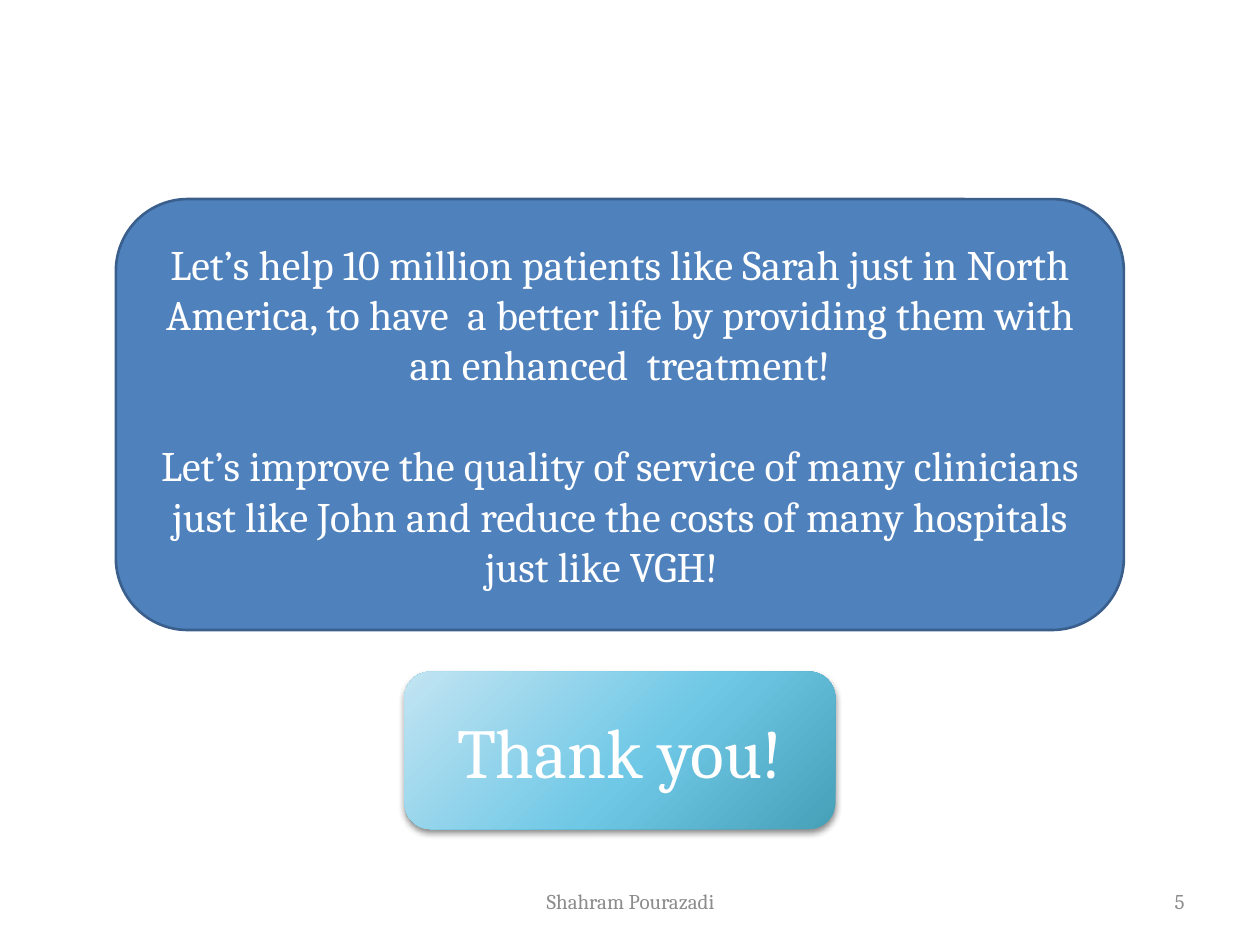
from lxml.etree import SubElement
from pptx import Presentation
from pptx.dml.color import RGBColor
from pptx.enum.shapes import MSO_SHAPE
from pptx.enum.text import MSO_ANCHOR, PP_ALIGN
from pptx.oxml.ns import qn
from pptx.util import Inches, Pt

WHITE = RGBColor(0xFF, 0xFF, 0xFF)
GRAY = RGBColor(0x8C, 0x8C, 0x8C)
BLUE = RGBColor(0x4F, 0x81, 0xBD)
DARK_BLUE = RGBColor(0x3A, 0x5F, 0x8C)
BLACK = RGBColor(0x00, 0x00, 0x00)
PALE_AQUA = RGBColor(0xC2, 0xE4, 0xF2)
AQUA = RGBColor(0x6F, 0xC8, 0xE6)
TEAL = RGBColor(0x46, 0xA0, 0xB8)

MESSAGES = [
    "Let’s help 10 million patients like Sarah just in North America, "
    "to have  a better life by providing them with an enhanced  treatment!",
    "Let’s improve the quality of service of many clinicians just like John "
    "and reduce the costs of many hospitals just like VGH!    ",
]


class ClosingPage:
    font_name = "Cambria"

    def __init__(self, deck):
        self.page = deck.slides.add_slide(deck.slide_layouts[6])

    def set_text(self, shape, texts, size, color, align=PP_ALIGN.CENTER, gap=0):
        frame = shape.text_frame
        frame.word_wrap = True
        frame.vertical_anchor = MSO_ANCHOR.MIDDLE
        frame.text = "\n".join(texts)
        for index, para in enumerate(frame.paragraphs):
            para.alignment = align
            if index:
                para.space_before = Pt(gap)
            for span in para.runs:
                span.font.name = self.font_name
                span.font.size = Pt(size)
                span.font.color.rgb = color

    def footer(self, text, left, width, align):
        box = self.page.shapes.add_textbox(
            Inches(left), Inches(6.95), Inches(width), Inches(0.4))
        self.set_text(box, [text], 12, GRAY, align)

    def rounded_box(self, left, top, width, height):
        box = self.page.shapes.add_shape(
            MSO_SHAPE.ROUNDED_RECTANGLE,
            Inches(left), Inches(top), Inches(width), Inches(height))
        box.shadow.inherit = False
        return box

    def message(self, texts):
        box = self.rounded_box(0.92, 1.58, 8, 3.42)
        box.fill.solid()
        box.fill.fore_color.rgb = BLUE
        box.line.color.rgb = DARK_BLUE
        box.line.width = Pt(1.5)
        self.set_text(box, texts, 24, WHITE, gap=28.8)

    def thanks(self, text):
        box = self.rounded_box(3.21, 5.33, 3.42, 1.25)
        box.line.fill.background()
        self.radial_fill(box, [(0, PALE_AQUA), (55, AQUA), (100, TEAL)])
        self.drop_shadow(box)
        self.set_text(box, [text], 40, WHITE)

    def radial_fill(self, box, stops):
        box.fill.gradient()
        gradient = box.element.spPr.find(qn("a:gradFill"))
        for child in list(gradient):
            gradient.remove(child)
        stop_list = SubElement(gradient, qn("a:gsLst"))
        for position, color in stops:
            stop = SubElement(stop_list, qn("a:gs"), pos=str(position * 1000))
            SubElement(stop, qn("a:srgbClr"), val=str(color))
        circle = SubElement(gradient, qn("a:path"), path="circle")
        SubElement(circle, qn("a:fillToRect"),
                   l="-40000", t="-90000", r="140000", b="190000")

    def drop_shadow(self, box):
        effects = box.element.spPr.find(qn("a:effectLst"))
        shadow = SubElement(
            effects, qn("a:outerShdw"), blurRad=str(Pt(4)), dist=str(Pt(2)),
            dir="5400000", rotWithShape="0")
        color = SubElement(shadow, qn("a:srgbClr"), val=str(BLACK))
        SubElement(color, qn("a:alpha"), val="45000")


def main():
    deck = Presentation()
    deck.slide_width = Inches(10)
    deck.slide_height = Inches(7.5)
    closing = ClosingPage(deck)
    closing.footer("Shahram Pourazadi", 3.42, 3.17, PP_ALIGN.CENTER)
    closing.footer("5", 7.17, 2.33, PP_ALIGN.RIGHT)
    closing.message(MESSAGES)
    closing.thanks("Thank you!")
    deck.save("out.pptx")


if __name__ == "__main__":
    main()
